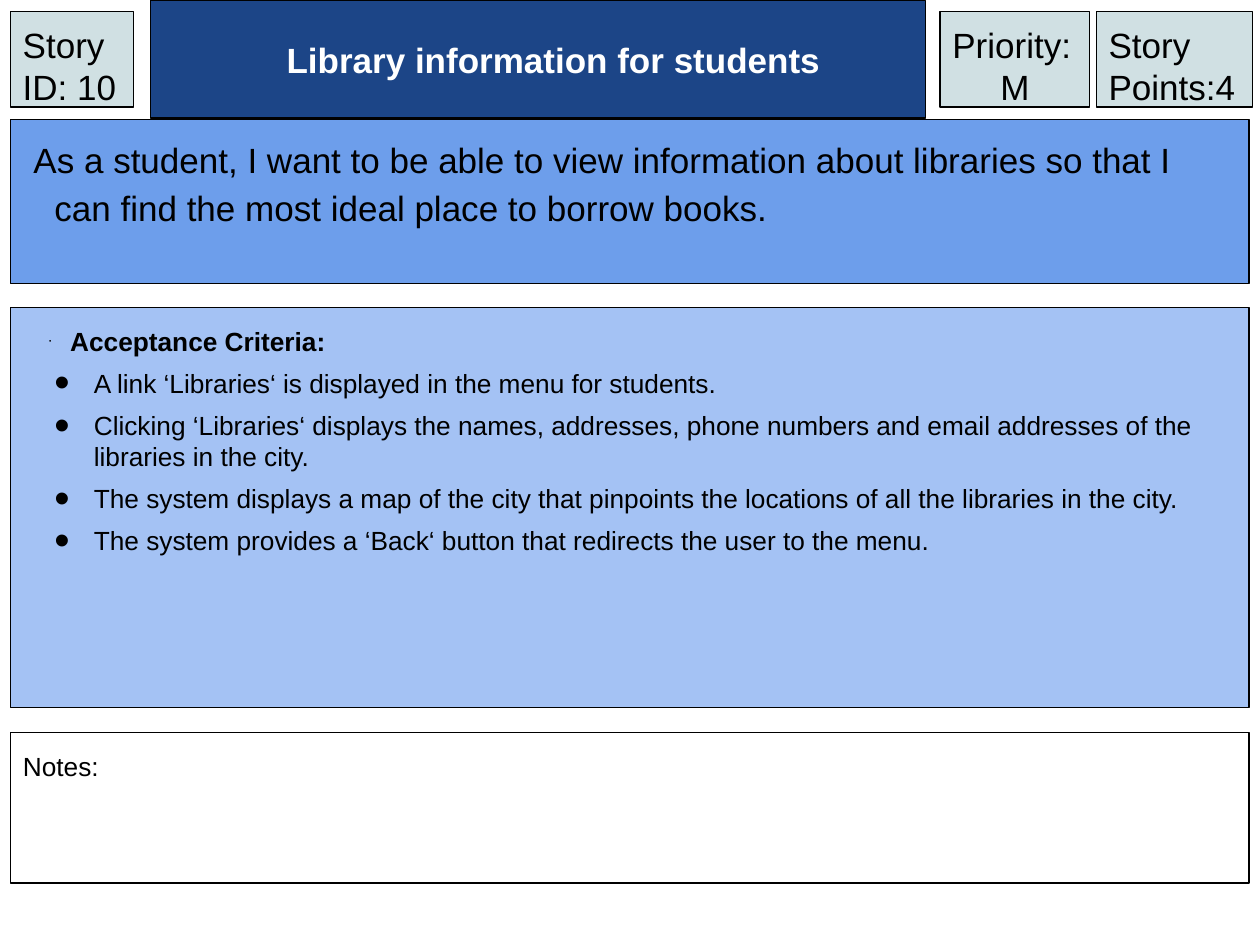
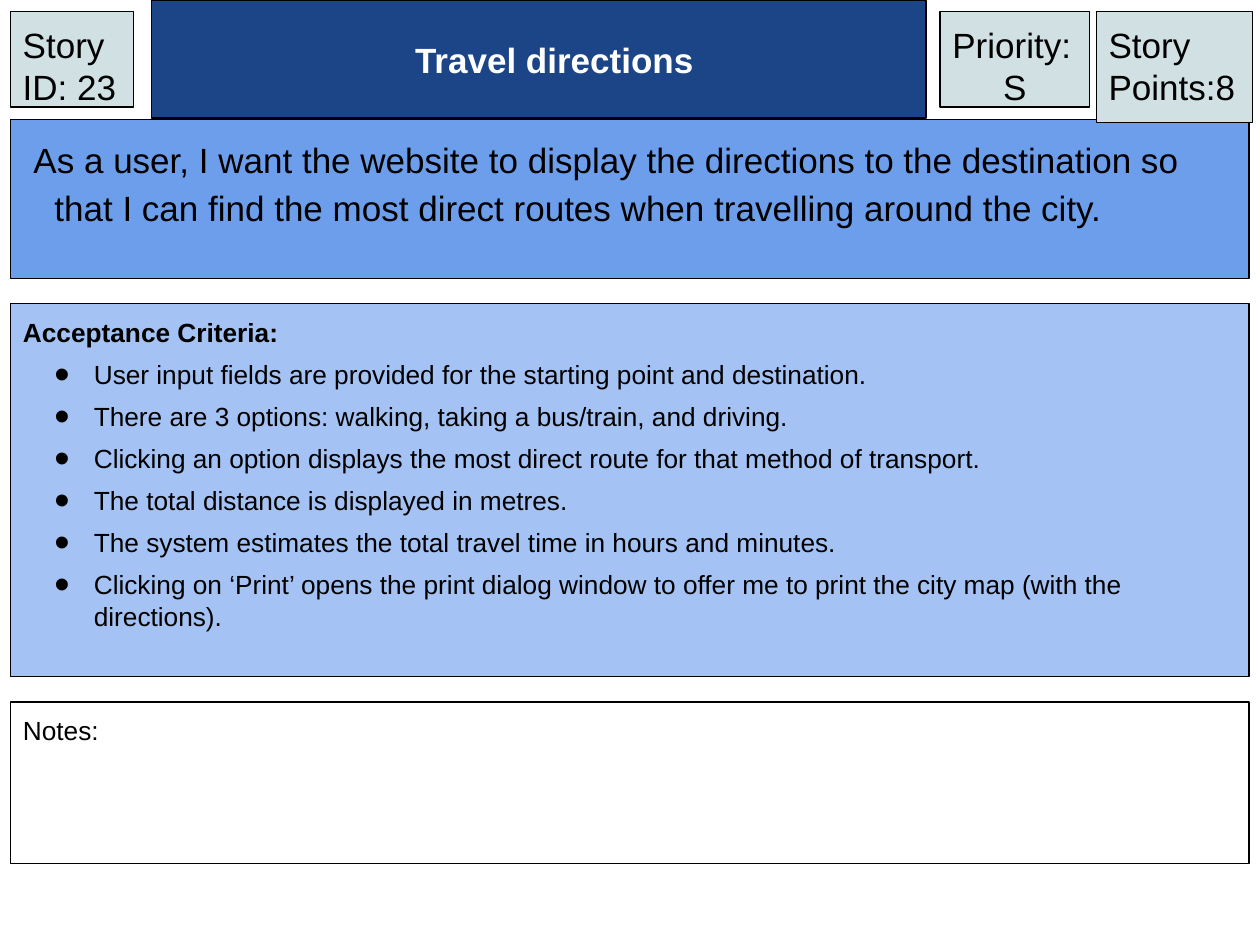
import pptx
import pptx.dml.color
import pptx.enum.shapes
import pptx.enum.text
import pptx.oxml.ns
import pptx.util
from lxml import etree

Pt = pptx.util.Pt
ALIGN = pptx.enum.text.PP_ALIGN
ANCHOR = pptx.enum.text.MSO_ANCHOR
FONT = "Arial"
BLACK, WHITE = "000000", "FFFFFF"
TITLE_FILL, STORY_FILL, CRITERIA_FILL, BADGE_FILL = "1C4587", "6D9EEB", "A4C2F4", "D0E0E3"
LEFT, PANEL_WIDTH = 5.9, 707.9
HEADER_TOP, HEADER_HEIGHT, STORY_TOP = 6.5, 54.7, 68.4
LARGE, SMALL = 20, 15
HANGING = (27, -27)

STORIES = [
    {
        "id": "Story ID: 10",
        "title": "Library information for students",
        "title_left": 85.9,
        "priority": "M",
        "points": "Story Points:4",
        "points_height": HEADER_HEIGHT,
        "story": "As a student, I want to be able to view information about libraries "
                 "so that I can find the most ideal place to borrow books.",
        "story_height": 100.8,
        "criteria_span": (175.9, 235.4),
        "heading": {"indent": (27, -12), "spacing": 1.15, "bullet": 25},
        "criteria": [
            "A link ‘Libraries‘ is displayed in the menu for students.",
            "Clicking ‘Libraries‘ displays the names, addresses, phone numbers "
            "and email addresses of the libraries in the city.",
            "The system displays a map of the city that pinpoints the locations "
            "of all the libraries in the city.",
            "The system provides a ‘Back‘ button that redirects the user to the menu.",
        ],
        "notes_span": (418.7, 92.9),
        "notes_spacing": 1.15,
    },
    {
        "id": "Story ID: 23",
        "title": "Travel directions",
        "title_left": 86.4,
        "priority": "S",
        "points": "Story Points:8",
        "points_height": 63.4,
        "story": "As a user, I want the website to display the directions to the destination "
                 "so that I can find the most direct routes when travelling around the city.",
        "story_height": 97.9,
        "criteria_span": (173.5, 220.3),
        "heading": {"indent": HANGING},
        "criteria": [
            "User input fields are provided for the starting point and destination.",
            "There are 3 options: walking, taking a bus/train, and driving.",
            "Clicking an option displays the most direct route for that method of transport.",
            "The total distance is displayed in metres.",
            "The system estimates the total travel time in hours and minutes.",
            "Clicking on ‘Print’ opens the print dialog window to offer me to print "
            "the city map (with the directions).",
        ],
        "notes_span": (401.1, 99.4),
        "notes_spacing": 1,
    },
]


def colour(value):
    return pptx.dml.color.RGBColor.from_string(value)


def add_bullet(properties, percent):
    def child(tag, parent=properties, **attributes):
        return etree.SubElement(parent, pptx.oxml.ns.qn(tag), **attributes)

    if percent is None:
        child("a:buNone")
        return
    child("a:srgbClr", child("a:buClr"), val=BLACK)
    child("a:buSzPct", val=str(percent * 1000))
    child("a:buFont", typeface=FONT)
    child("a:buChar", char="•")


def format_paragraph(paragraph, size, ink=BLACK, bold=False, indent=(0, 0),
                     spacing=1, before=0, bullet=None, align=ALIGN.LEFT):
    properties = paragraph._p.get_or_add_pPr()
    margin, first_line = indent
    properties.set("marL", str(Pt(margin)))
    properties.set("indent", str(Pt(first_line)))
    add_bullet(properties, bullet)
    paragraph.alignment = align
    paragraph.line_spacing = float(spacing)
    paragraph.space_before = Pt(before)
    paragraph.space_after = Pt(0)
    for run in paragraph.runs:
        run.font.name = FONT
        run.font.size = Pt(size)
        run.font.bold = bold
        run.font.color.rgb = colour(ink)


def style_panel(panel, bounds, fill, lines, anchor=ANCHOR.TOP):
    panel.left, panel.top, panel.width, panel.height = map(Pt, bounds)
    panel.fill.solid()
    panel.fill.fore_color.rgb = colour(fill)
    panel.line.color.rgb = colour(BLACK)
    panel.line.width = Pt(0.75)
    frame = panel.text_frame
    frame.word_wrap = True
    frame.auto_size = pptx.enum.text.MSO_AUTO_SIZE.SHAPE_TO_FIT_TEXT
    frame.vertical_anchor = anchor
    frame.margin_left = frame.margin_right = Pt(7.2)
    frame.margin_top = frame.margin_bottom = Pt(7.2)
    frame.text = "\n".join(text for text, _ in lines)
    for paragraph, (_, formatting) in zip(frame.paragraphs, lines):
        format_paragraph(paragraph, **formatting)


def add_badge(slide, left, width, lines, height=HEADER_HEIGHT):
    bounds = (left, HEADER_TOP, width, height)
    badge = slide.shapes.add_textbox(*map(Pt, bounds))
    style_panel(badge, bounds, BADGE_FILL, lines)


def add_story_card(deck, card):
    slide = deck.slides.add_slide(deck.slide_layouts.get_by_name("Comparison"))
    story, criteria, notes, spare = list(slide.placeholders)[1:]
    spare.element.getparent().remove(spare.element)

    style_panel(story, (LEFT, STORY_TOP, PANEL_WIDTH, card["story_height"]), STORY_FILL,
                [(card["story"], {"size": LARGE, "indent": (18, -12), "spacing": 1.15})])
    style_panel(slide.shapes.title,
                (card["title_left"], HEADER_TOP, 442.8, HEADER_HEIGHT), TITLE_FILL,
                [(card["title"], {"size": LARGE, "ink": WHITE, "bold": True,
                                  "indent": (0, 18), "align": ALIGN.CENTER})],
                ANCHOR.MIDDLE)

    heading = ("Acceptance Criteria:", {"size": SMALL, "bold": True, **card["heading"]})
    criterion = {"size": SMALL, "indent": (40.5, -22.5), "before": 6, "bullet": 167}
    top, height = card["criteria_span"]
    style_panel(criteria, (LEFT, top, PANEL_WIDTH, height), CRITERIA_FILL,
                [heading] + [(text, criterion) for text in card["criteria"]])

    top, height = card["notes_span"]
    style_panel(notes, (LEFT, top, PANEL_WIDTH, height), WHITE,
                [("Notes:", {"size": SMALL, "indent": HANGING,
                             "spacing": card["notes_spacing"]})])

    add_badge(slide, 626.4, 89.5, [(card["points"], {"size": LARGE})], card["points_height"])
    add_badge(slide, 537.1, 85.7, [("Priority:", {"size": LARGE}),
                                   (card["priority"], {"size": LARGE, "align": ALIGN.CENTER})])
    add_badge(slide, LEFT, 70.6, [(card["id"], {"size": LARGE})])


def main():
    deck = pptx.Presentation()
    deck.slide_width, deck.slide_height = Pt(720), Pt(540)
    for card in STORIES:
        add_story_card(deck, card)
    deck.save("out.pptx")


if __name__ == "__main__":
    main()
